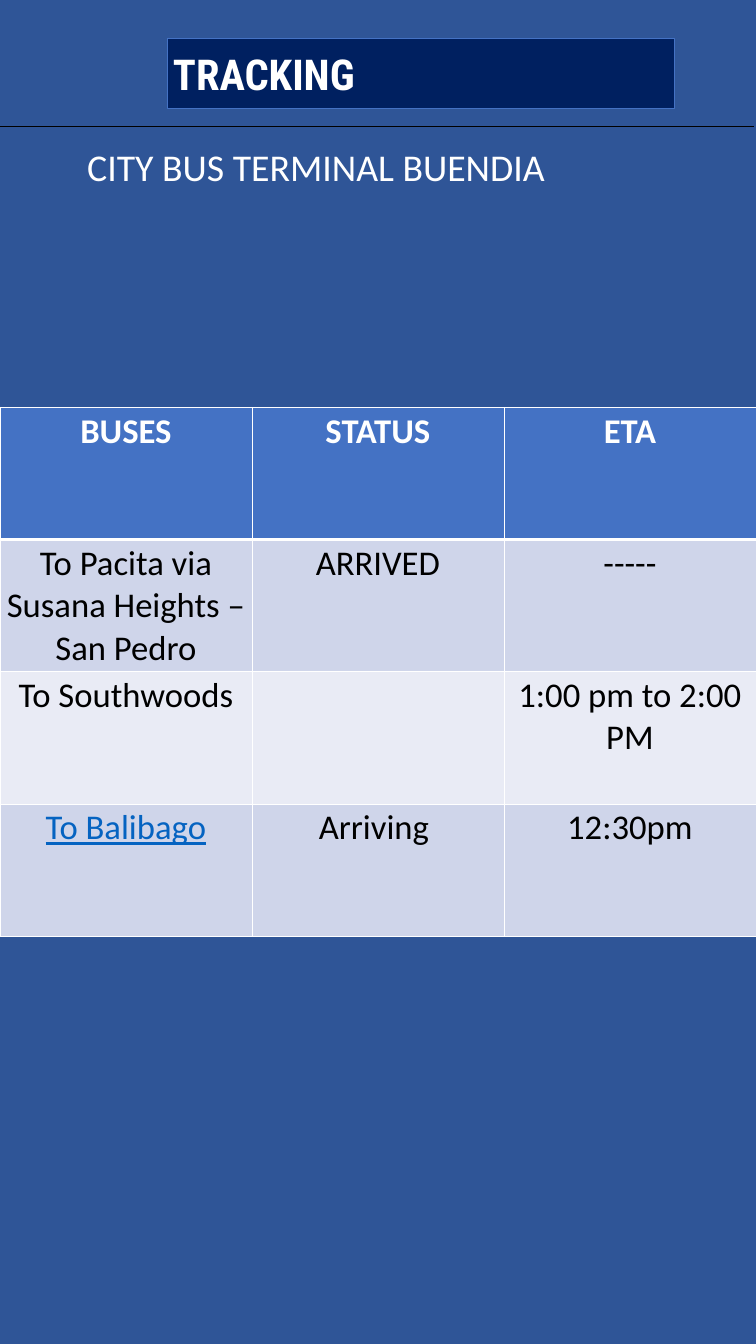
from dataclasses import dataclass

from lxml import etree
from pptx import Presentation
from pptx.dml.color import RGBColor
from pptx.enum.shapes import MSO_CONNECTOR
from pptx.enum.text import MSO_ANCHOR, MSO_AUTO_SIZE, PP_ALIGN
from pptx.oxml.ns import qn
from pptx.util import Pt

LEFT, CENTER = PP_ALIGN.LEFT, PP_ALIGN.CENTER
MIDDLE = MSO_ANCHOR.MIDDLE
NO_AUTOFIT = MSO_AUTO_SIZE.NONE
GROW = MSO_AUTO_SIZE.SHAPE_TO_FIT_TEXT
STRAIGHT = MSO_CONNECTOR.STRAIGHT

WHITE = RGBColor(0xFF, 0xFF, 0xFF)
BLACK = RGBColor(0x00, 0x00, 0x00)
BACKGROUND = RGBColor(0x2F, 0x55, 0x97)
NAVY = RGBColor(0x00, 0x20, 0x60)
BLUE = RGBColor(0x44, 0x72, 0xC4)
BAND_DARK = RGBColor(0xCF, 0xD5, 0xEA)
BAND_LIGHT = RGBColor(0xE9, 0xEB, 0xF5)
LINK = RGBColor(0x05, 0x63, 0xC1)

SLIDE_WIDTH, SLIDE_HEIGHT = Pt(960), Pt(1706.4)
TABLE_TOP, ROW_HEIGHT = Pt(517), Pt(168)
HEADINGS = ("BUSES", "STATUS", "ETA")


@dataclass(frozen=True)
class Bus:
    destination: str
    status: str
    eta: str
    linked: bool = False


BUSES = (
    Bus("To Pacita via Susana Heights – San Pedro", "ARRIVED", "-----"),
    Bus("To Southwoods", "", "1:00 pm to 2:00 PM"),
    Bus("To Balibago", "Arriving ", "12:30pm", linked=True),
)


def write_text(text_frame, text: str, *, size: float, color: RGBColor = WHITE,
               font: str = "Calibri", bold: bool = False,
               underline: bool = False, align=LEFT) -> None:
    paragraph = text_frame.paragraphs[0]
    paragraph.alignment = align
    run = paragraph.add_run()
    run.text = text
    run.font.name = font
    run.font.size = Pt(size)
    run.font.bold = bold
    run.font.underline = underline
    run.font.color.rgb = color


def set_borders(cell, top: float, bottom: float) -> None:
    properties = cell._tc.get_or_add_tcPr()
    for side, width in (("L", 1), ("R", 1), ("T", top), ("B", bottom)):
        line = etree.SubElement(properties, qn(f"a:ln{side}"), w=str(Pt(width)))
        fill = etree.SubElement(line, qn("a:solidFill"))
        etree.SubElement(fill, qn("a:srgbClr"), val=str(WHITE))


def fill_cell(cell, text: str, fill: RGBColor, *, top: float = 1,
              bottom: float = 1, **text_format) -> None:
    set_borders(cell, top, bottom)
    cell.fill.solid()
    cell.fill.fore_color.rgb = fill
    if text:
        write_text(cell.text_frame, text, size=44, align=CENTER, **text_format)


def format_title(title) -> None:
    title.left, title.top = Pt(212.4), Pt(49)
    title.width, title.height = Pt(644.4), Pt(88.6)
    title.fill.solid()
    title.fill.fore_color.rgb = NAVY
    title.line.color.rgb = BLUE
    title.line.width = Pt(1)
    title.text_frame.auto_size = NO_AUTOFIT
    title.text_frame.vertical_anchor = MIDDLE
    write_text(title.text_frame, "TRACKING", size=54,
               font="Roboto Condensed", bold=True)


def add_terminal_name(slide) -> None:
    box = slide.shapes.add_textbox(Pt(103.7), Pt(178.6), Pt(736.6), Pt(65.5))
    box.text_frame.word_wrap = True
    box.text_frame.auto_size = GROW
    write_text(box.text_frame, "CITY BUS TERMINAL BUENDIA", size=48)


def add_divider(slide) -> None:
    divider = slide.shapes.add_connector(
        STRAIGHT, Pt(-3.6), Pt(160.6), Pt(956.9), Pt(160.6))
    divider.line.color.rgb = BLACK
    divider.line.width = Pt(0.5)
    etree.SubElement(divider._element.spPr, qn("a:effectLst"))


def add_bus_table(slide) -> None:
    row_count = len(BUSES) + 1
    table = slide.shapes.add_table(
        row_count, len(HEADINGS), 0, TABLE_TOP, SLIDE_WIDTH,
        ROW_HEIGHT * row_count).table
    for column, heading in enumerate(HEADINGS):
        fill_cell(table.cell(0, column), heading, BLUE, bottom=3, bold=True)
    for row, bus in enumerate(BUSES, start=1):
        band = BAND_DARK if row % 2 else BAND_LIGHT
        top = 3 if row == 1 else 1
        fill_cell(table.cell(row, 0), bus.destination, band, top=top,
                  color=LINK if bus.linked else BLACK, underline=bus.linked)
        for column, text in enumerate((bus.status, bus.eta), start=1):
            fill_cell(table.cell(row, column), text, band, top=top, color=BLACK)


def main() -> None:
    presentation = Presentation()
    presentation.slide_width = SLIDE_WIDTH
    presentation.slide_height = SLIDE_HEIGHT
    title_only = presentation.slide_layouts.get_by_name("Title Only")
    slide = presentation.slides.add_slide(title_only)
    slide.background.fill.solid()
    slide.background.fill.fore_color.rgb = BACKGROUND
    format_title(slide.shapes.title)
    add_terminal_name(slide)
    add_divider(slide)
    add_bus_table(slide)
    presentation.save("out.pptx")


main()
